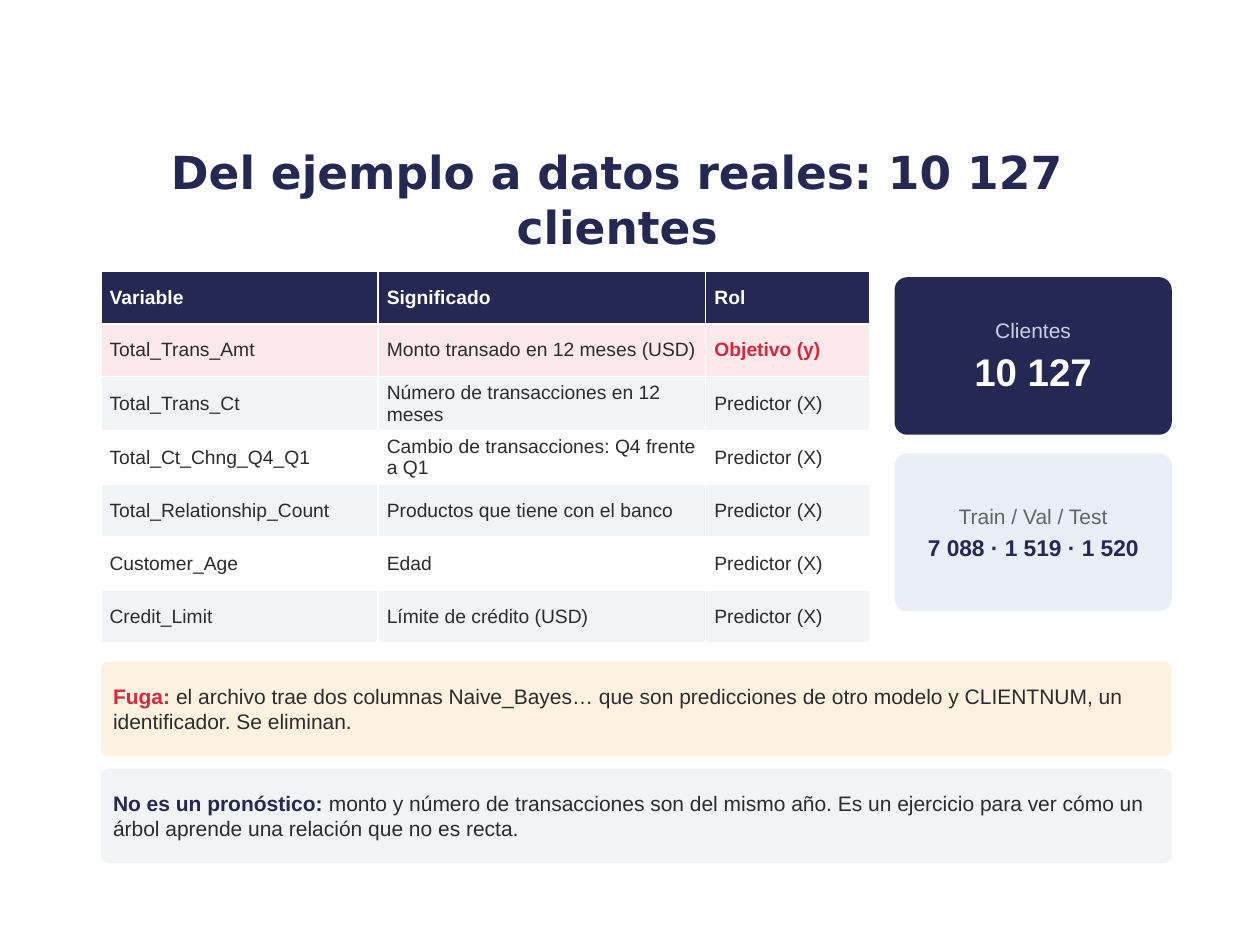
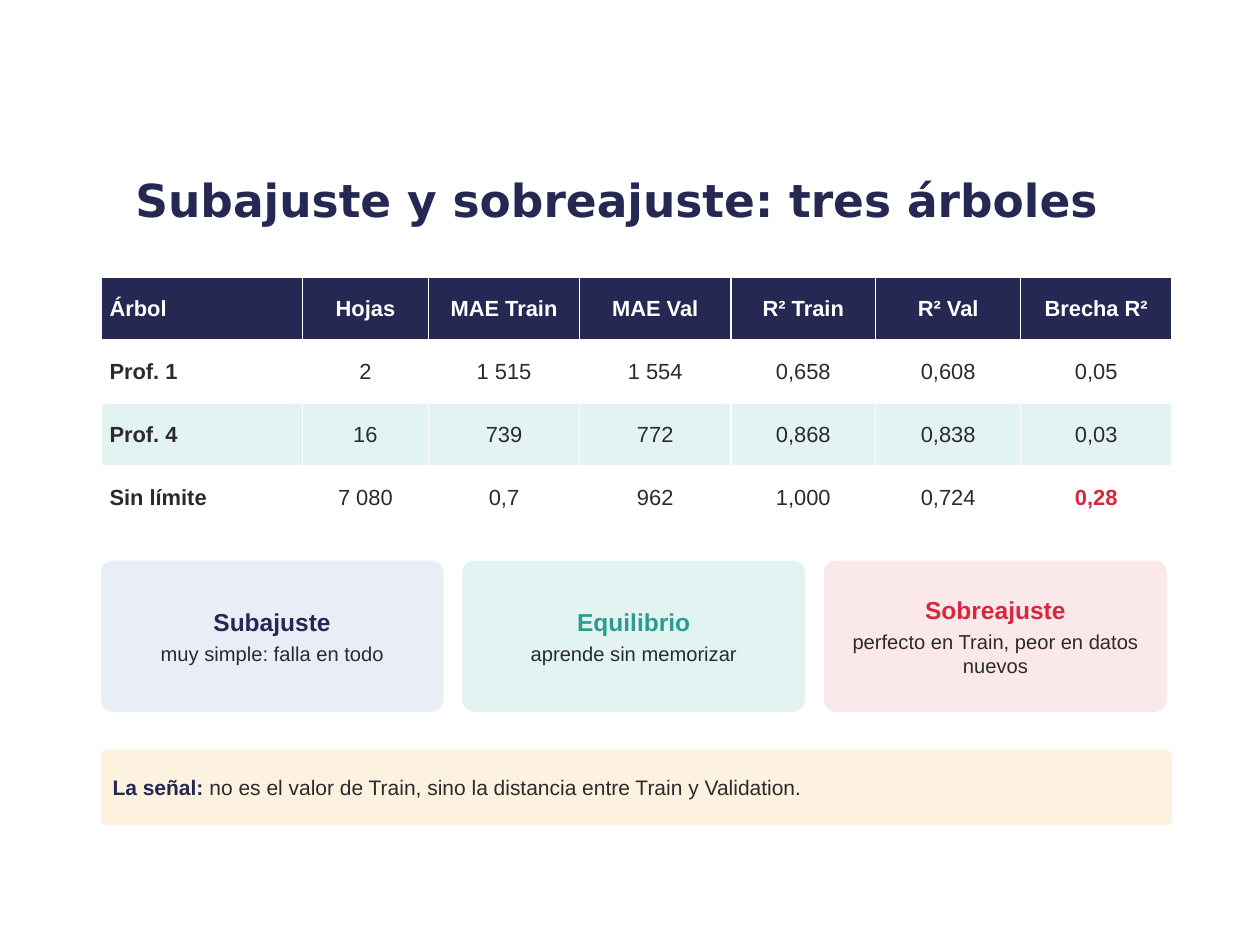
"""Build two slides on decision trees: the customer data and how three trees fit it."""
from pptx import Presentation
from pptx.dml.color import RGBColor
from pptx.enum.shapes import MSO_SHAPE
from pptx.enum.text import MSO_ANCHOR, PP_ALIGN
from pptx.util import Inches, Pt

COLUMNS, ROWS = 100, 75
NAVY, INK, RED, TEAL = "242852", "2B2B2B", "D7263D", "2A9D8F"
WHITE, GRAY, SLATE, MIST = "FFFFFF", "F2F3F5", "5F6368", "C9D2E8"
PALE_BLUE, PALE_GREEN, PALE_RED, CREAM = "E8EDF6", "E3F3F1", "FBE8EA", "FDF2E0"
LEFT, WIDTH = 8, 85


def color(code):
    return RGBColor.from_string(code)


class Deck:
    """Holds the shared style and the slide being filled."""

    def __init__(self):
        self.show = Presentation()
        self.show.slide_width, self.show.slide_height = Inches(10), Inches(7.5)
        self.slide = None

    def across(self, columns):
        return round(self.show.slide_width * columns / COLUMNS)

    def down(self, rows):
        return round(self.show.slide_height * rows / ROWS)

    def area(self, left, top, width, height):
        return self.across(left), self.down(top), self.across(width), self.down(height)

    def add_words(self, paragraph, text, size, ink, bold=False, font="Arial"):
        run = paragraph.add_run()
        run.text = text
        run.font.name, run.font.size, run.font.bold = font, Pt(size), bold
        run.font.color.rgb = color(ink)

    def start(self, title):
        self.slide = self.show.slides.add_slide(self.show.slide_layouts[6])
        frame = self.slide.shapes.add_textbox(*self.area(7.5, 11.8, 83, 8)).text_frame
        frame.word_wrap = True
        frame.vertical_anchor = MSO_ANCHOR.MIDDLE
        heading = frame.paragraphs[0]
        heading.alignment = PP_ALIGN.CENTER
        self.add_words(heading, title, 26, NAVY, True, "DejaVu Sans")

    def panel(self, place, fill, lines, align=PP_ALIGN.CENTER):
        card = self.slide.shapes.add_shape(MSO_SHAPE.ROUNDED_RECTANGLE, *self.area(*place))
        card.adjustments[0] = 0.08
        card.shadow.inherit = False
        card.fill.solid()
        card.fill.fore_color.rgb = color(fill)
        card.line.fill.background()
        frame = card.text_frame
        frame.word_wrap = True
        frame.vertical_anchor = MSO_ANCHOR.MIDDLE
        frame.margin_left = frame.margin_right = Inches(0.08)
        frame.margin_top = frame.margin_bottom = Inches(0.08)
        for index, runs in enumerate(lines):
            paragraph = frame.add_paragraph() if index else frame.paragraphs[0]
            paragraph.alignment = align
            paragraph.space_after = Pt(3)
            for run in runs:
                self.add_words(paragraph, *run)

    def note(self, top, height, fill, lead, lead_ink, body):
        runs = [(lead + " ", 12, lead_ink, True), (body, 12, INK)]
        self.panel((LEFT, top, WIDTH, height), fill, [runs], PP_ALIGN.LEFT)

    def table(self, top, widths, row_height, size, records, fills, accent,
              bold_first=False, centered=False):
        place = self.area(LEFT, top, sum(widths), row_height * len(records))
        grid = self.slide.shapes.add_table(len(records), len(widths), *place).table
        grid.horz_banding = False
        for column, width in zip(grid.columns, widths):
            column.width = self.across(width)
        for y, (record, fill) in enumerate(zip(records, fills)):
            grid.rows[y].height = self.down(row_height)
            for x, text in enumerate(record):
                cell = grid.cell(y, x)
                cell.fill.solid()
                cell.fill.fore_color.rgb = color(fill)
                cell.vertical_anchor = MSO_ANCHOR.MIDDLE
                cell.margin_left = cell.margin_right = Inches(0.07)
                cell.margin_top = cell.margin_bottom = Inches(0.03)
                paragraph = cell.text_frame.paragraphs[0]
                if centered and x:
                    paragraph.alignment = PP_ALIGN.CENTER
                ink = WHITE if y == 0 else RED if text == accent else INK
                bold = ink != INK or (bold_first and x == 0)
                self.add_words(paragraph, text, size, ink, bold)


def customer_data(deck):
    deck.start("Del ejemplo a datos reales: 10 127 clientes")
    predictors = [
        ("Total_Trans_Ct", "Número de transacciones en 12 meses"),
        ("Total_Ct_Chng_Q4_Q1", "Cambio de transacciones: Q4 frente a Q1"),
        ("Total_Relationship_Count", "Productos que tiene con el banco"),
        ("Customer_Age", "Edad"),
        ("Credit_Limit", "Límite de crédito (USD)"),
    ]
    variables = [
        ("Variable", "Significado", "Rol"),
        ("Total_Trans_Amt", "Monto transado en 12 meses (USD)", "Objetivo (y)"),
        *[(*predictor, "Predictor (X)") for predictor in predictors],
    ]
    stripes = [NAVY, PALE_RED, GRAY, WHITE, GRAY, WHITE, GRAY]
    deck.table(21.5, (22, 26, 13), 4.2, 11, variables, stripes, "Objetivo (y)")
    figures = [
        (NAVY, ("Clientes", 12, MIST), ("10 127", 22, WHITE, True)),
        (PALE_BLUE, ("Train / Val / Test", 12, SLATE),
         ("7 088 · 1 519 · 1 520", 13, NAVY, True)),
    ]
    for index, (fill, label, value) in enumerate(figures):
        deck.panel((71, 22 + 14 * index, 22, 12.5), fill, [[label], [value]])
    deck.note(52.5, 7.5, CREAM, "Fuga:", RED,
              "el archivo trae dos columnas Naive_Bayes… que son predicciones de otro "
              "modelo y CLIENTNUM, un identificador. Se eliminan.")
    deck.note(61, 7.5, GRAY, "No es un pronóstico:", NAVY,
              "monto y número de transacciones son del mismo año. Es un ejercicio para "
              "ver cómo un árbol aprende una relación que no es recta.")


def three_trees(deck):
    deck.start("Subajuste y sobreajuste: tres árboles")
    trees = [
        ("Árbol", "Hojas", "MAE Train", "MAE Val", "R² Train", "R² Val", "Brecha R²"),
        ("Prof. 1", "2", "1 515", "1 554", "0,658", "0,608", "0,05"),
        ("Prof. 4", "16", "739", "772", "0,868", "0,838", "0,03"),
        ("Sin límite", "7 080", "0,7", "962", "1,000", "0,724", "0,28"),
    ]
    deck.table(22, (16, 10, 12, 12, 11.5, 11.5, 12), 5, 12.5, trees,
               [NAVY, WHITE, PALE_GREEN, WHITE], "0,28", bold_first=True, centered=True)
    verdicts = [
        ("Subajuste", NAVY, PALE_BLUE, "muy simple: falla en todo"),
        ("Equilibrio", TEAL, PALE_GREEN, "aprende sin memorizar"),
        ("Sobreajuste", RED, PALE_RED, "perfecto en Train, peor en datos nuevos"),
    ]
    card_width, gap = 27.2, 1.5
    for index, (name, ink, fill, meaning) in enumerate(verdicts):
        place = (LEFT + index * (card_width + gap), 44.5, card_width, 12)
        deck.panel(place, fill, [[(name, 14, ink, True)], [(meaning, 11.5, INK)]])
    deck.note(59.5, 6, CREAM, "La señal:", NAVY,
              "no es el valor de Train, sino la distancia entre Train y Validation.")


def main():
    deck = Deck()
    customer_data(deck)
    three_trees(deck)
    deck.show.save("out.pptx")


if __name__ == "__main__":
    main()
